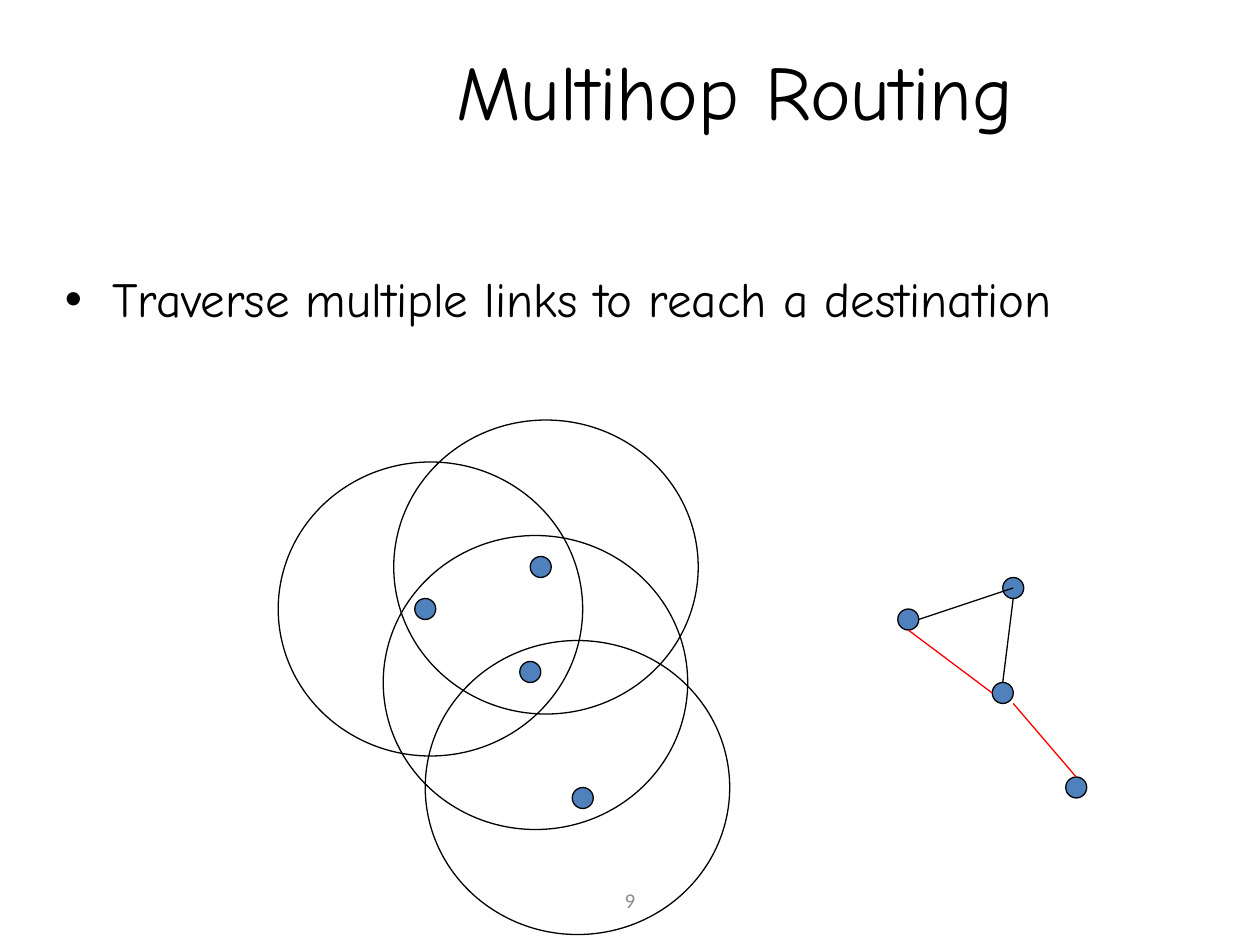
"""Build the Multihop Routing slide."""
from typing import NamedTuple, Optional

from lxml.etree import SubElement
from pptx import Presentation
from pptx.dml.color import RGBColor
from pptx.enum.shapes import MSO_CONNECTOR, MSO_SHAPE
from pptx.enum.text import MSO_ANCHOR, PP_ALIGN
from pptx.oxml.ns import qn
from pptx.util import Pt

EMU_PER_PX = 9525
BLACK, RED, WHITE, BLUE, GREY = "000000", "FF0000", "FFFFFF", "4F81BD", "8C8C8C"
HAND_FONT = "Comic Neue"
RANGE_SIZE = (232, 224)
NODE_SIZE = (16, 16)


class Circle(NamedTuple):
    left: int
    top: int
    size: tuple[int, int]
    fill: Optional[str] = None


class Link(NamedTuple):
    start: tuple[int, int]
    end: tuple[int, int]
    color: str = BLACK


RADIO_RANGES = [
    Circle(212, 352, RANGE_SIZE, WHITE),
    Circle(292, 408, RANGE_SIZE),
    Circle(300, 320, RANGE_SIZE),
    Circle(324, 488, RANGE_SIZE),
]
NODES = [
    Circle(left, top, NODE_SIZE, BLUE)
    for left, top in [
        (316, 456), (396, 504), (404, 424), (436, 600),
        (684, 464), (756, 520), (764, 440), (812, 592),
    ]
]
LINKS = [
    Link((700, 472), (772, 448)),
    Link((764, 520), (772, 456)),
    Link((692, 480), (756, 528), RED),
    Link((772, 536), (820, 592), RED),
]


def px(length: int) -> int:
    """Turn pixels into EMU."""
    return length * EMU_PER_PX


def rgb(color: str) -> RGBColor:
    """Turn a hex string into a colour."""
    return RGBColor.from_string(color)


def write(shape, text: str, font: str, size: int, color: str, align, anchor) -> None:
    """Write one formatted run into a text shape."""
    frame = shape.text_frame
    frame.word_wrap = True
    frame.vertical_anchor = anchor
    paragraph = frame.paragraphs[0]
    paragraph.alignment = align
    run = paragraph.add_run()
    run.text = text
    run.font.name = font
    run.font.size = Pt(size)
    run.font.color.rgb = rgb(color)


def add_bullet(shape, indent: int) -> None:
    """Give the first paragraph a hanging bullet."""
    properties = shape.text_frame.paragraphs[0]._p.get_or_add_pPr()
    properties.set("marL", str(px(indent)))
    properties.set("indent", str(-px(indent)))
    SubElement(properties, qn("a:buFont"), typeface="Arial")
    SubElement(properties, qn("a:buChar"), char="•")


def draw_circle(slide, circle: Circle) -> None:
    """Draw a radio range or a node."""
    shape = slide.shapes.add_shape(
        MSO_SHAPE.OVAL, px(circle.left), px(circle.top), *map(px, circle.size))
    shape.shadow.inherit = False
    if circle.fill:
        shape.fill.solid()
        shape.fill.fore_color.rgb = rgb(circle.fill)
    else:
        shape.fill.background()
    shape.line.color.rgb = rgb(BLACK)
    shape.line.width = Pt(0.75)


def draw_link(slide, link: Link) -> None:
    """Draw a straight link between nodes."""
    connector = slide.shapes.add_connector(
        MSO_CONNECTOR.STRAIGHT, *map(px, link.start + link.end))
    connector.line.color.rgb = rgb(link.color)
    connector.line.width = Pt(0.75)
    SubElement(connector._element.spPr, qn("a:effectLst"))


def main() -> None:
    """Build and save the presentation."""
    presentation = Presentation()
    presentation.slide_width, presentation.slide_height = px(960), px(720)
    slide = presentation.slides.add_slide(presentation.slide_layouts[5])

    title = slide.shapes.title
    title.left, title.top, title.width, title.height = map(px, (217, 8, 686, 120))
    write(title, "Multihop Routing", HAND_FONT, 44, BLACK, PP_ALIGN.CENTER, MSO_ANCHOR.MIDDLE)

    number = slide.shapes.add_textbox(*map(px, (328, 667, 304, 38)))
    write(number, "9", "Calibri", 12, GREY, PP_ALIGN.CENTER, MSO_ANCHOR.MIDDLE)

    body = slide.shapes.add_textbox(*map(px, (40, 200, 920, 64)))
    add_bullet(body, 36)
    write(body, "Traverse multiple links to reach a destination", HAND_FONT, 28, BLACK,
          PP_ALIGN.LEFT, MSO_ANCHOR.TOP)

    for circle in RADIO_RANGES + NODES:
        draw_circle(slide, circle)
    for link in LINKS:
        draw_link(slide, link)

    presentation.save("out.pptx")


if __name__ == "__main__":
    main()
